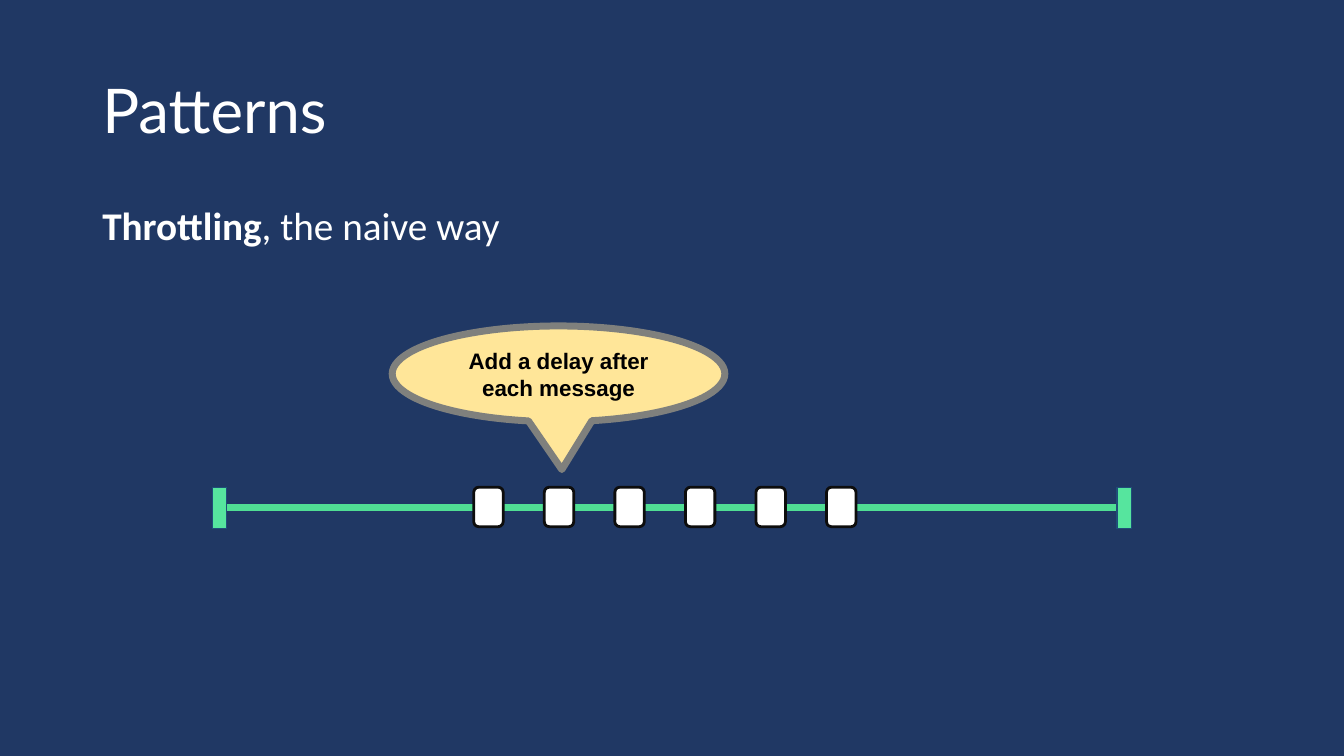
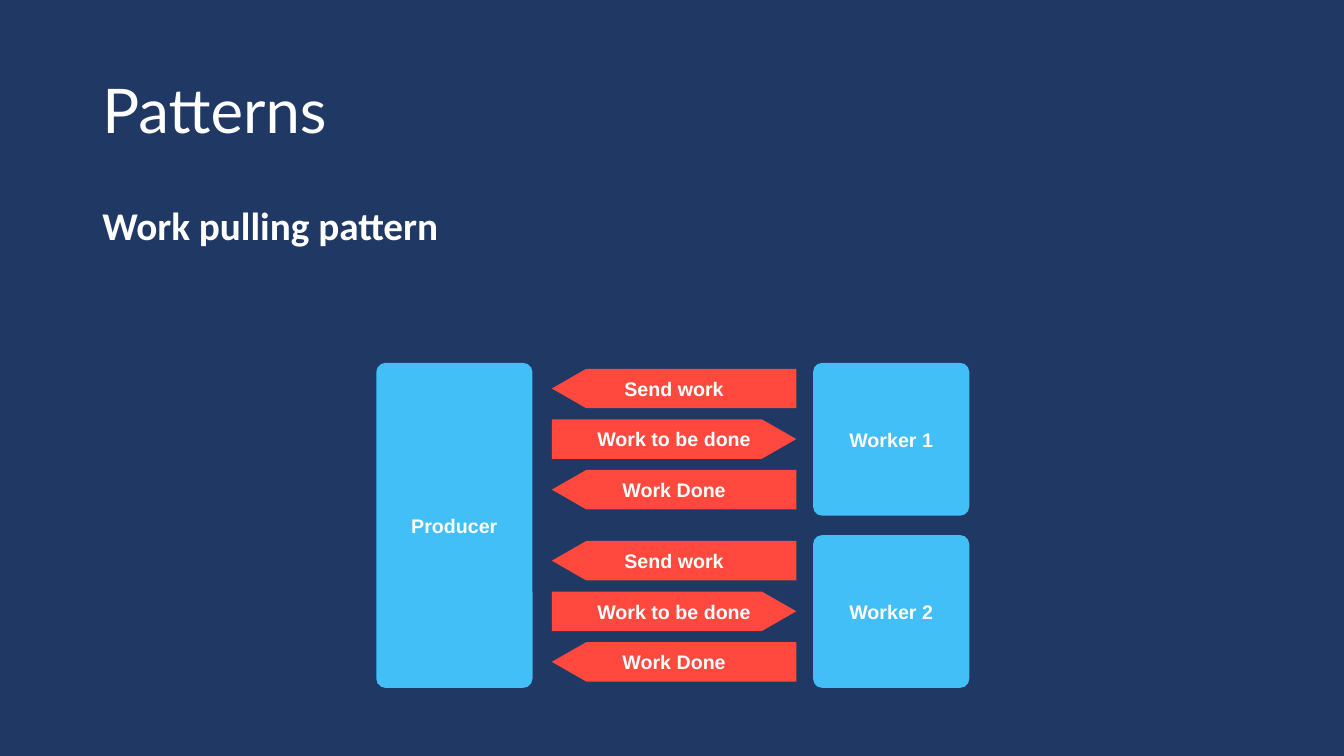
from dataclasses import dataclass

from pptx import Presentation
from pptx.dml.color import RGBColor
from pptx.enum.shapes import MSO_CONNECTOR, MSO_SHAPE
from pptx.enum.text import MSO_ANCHOR, PP_ALIGN
from pptx.oxml.ns import qn
from pptx.util import Inches, Pt
from lxml.etree import SubElement

WIDTH, HEIGHT = Inches(13.33), Inches(7.5)
COLUMNS, ROWS = 160, 90


@dataclass(frozen=True)
class Theme:
    """Hold the colours, fonts and type sizes of the deck."""
    background: str = "203864"
    white: str = "FFFFFF"
    black: str = "000000"
    wire: str = "50DE94"
    post: str = "56E59E"
    post_edge: str = "1F4E79"
    message_edge: str = "0D0D0D"
    callout: str = "FFE699"
    callout_edge: str = "7F807D"
    node: str = "43BFF7"
    arrow: str = "FF493E"
    title_font: str = "Lato"
    body_font: str = "Calibri"
    label_font: str = "Arial"
    title_size: int = 44
    body_size: int = 28
    callout_size: int = 16
    label_size: int = 14


THEME = Theme()
TITLE = {"name": THEME.title_font, "size": Pt(THEME.title_size)}
BODY = {"name": THEME.body_font, "size": Pt(THEME.body_size)}
LABEL = {"name": THEME.label_font, "size": Pt(THEME.label_size), "bold": True}
CALLOUT = LABEL | {"size": Pt(THEME.callout_size)}


def rgb(color):
    """Turn a hex string into a colour."""
    return RGBColor.from_string(color)


def cx(columns):
    """Convert grid columns to a length."""
    return round(WIDTH * columns / COLUMNS)


def cy(rows):
    """Convert grid rows to a length."""
    return round(HEIGHT * rows / ROWS)


def area(x, y, w, h):
    """Convert a grid rectangle to lengths."""
    return cx(x), cy(y), cx(w), cy(h)


def apply(target, values):
    """Set each attribute named in a dict."""
    for name, value in values.items():
        setattr(target, name, value)


def add_run(p, text, style, color=THEME.white):
    """Append one formatted run to a paragraph."""
    r = p.add_run()
    r.text = text
    apply(r.font, style)
    r.font.color.rgb = rgb(color)


def add_text(s, box, runs, anchor):
    """Add a left-aligned text box of formatted runs."""
    tf = s.shapes.add_textbox(*area(*box)).text_frame
    apply(tf, {"word_wrap": True, "vertical_anchor": anchor})
    p = tf.paragraphs[0]
    p.line_spacing = 0.9
    for text, style in runs:
        add_run(p, text, style)


def paint(sp, fill, edge=None, weight=0):
    """Give a shape a flat fill and an optional outline."""
    sp.shadow.inherit = False
    sp.fill.solid()
    sp.fill.fore_color.rgb = rgb(fill)
    if edge:
        sp.line.color.rgb = rgb(edge)
        sp.line.width = Pt(weight)
    else:
        sp.line.fill.background()


def add_label(sp, text, style=LABEL, color=THEME.white):
    """Centre a label in a shape."""
    tf = sp.text_frame
    apply(tf, {"word_wrap": True, "vertical_anchor": MSO_ANCHOR.MIDDLE})
    p = tf.paragraphs[0]
    p.alignment = PP_ALIGN.CENTER
    add_run(p, text, style, color)


def add_box(s, kind, box, fill, edge=None, weight=0, adjust=()):
    """Add a painted preset shape."""
    sp = s.shapes.add_shape(kind, *area(*box))
    for i, value in enumerate(adjust):
        sp.adjustments[i] = value
    paint(sp, fill, edge, weight)
    return sp


def add_wire(s, x1, x2, y):
    """Add a horizontal line without a shadow."""
    line = s.shapes.add_connector(MSO_CONNECTOR.STRAIGHT, cx(x1), cy(y), cx(x2), cy(y))
    line.line.color.rgb = rgb(THEME.wire)
    line.line.width = Pt(5)
    SubElement(line._element.spPr, qn("a:effectLst"))


def add_node(s, box, text):
    """Add a rounded box that names a participant."""
    add_label(add_box(s, MSO_SHAPE.ROUNDED_RECTANGLE, box, THEME.node, adjust=[0.06]), text)


def add_arrow(s, box, text, leftward):
    """Add a labelled pentagon that points left or right."""
    x, y, w, h = box
    tip = 4.1
    tail, neck, point = (x + w, x + tip, x) if leftward else (x, x + w - tip, x + w)
    outline = [(tail, y), (neck, y), (point, y + h / 2), (neck, y + h), (tail, y + h)]
    first, *rest = [(cx(a), cy(b)) for a, b in outline]
    builder = s.shapes.build_freeform(*first, scale=1.0)
    builder.add_line_segments(rest, close=True)
    sp = builder.convert_to_shape()
    paint(sp, THEME.arrow)
    add_label(sp, text)


def add_slide(prs, runs):
    """Add a slide with the shared background, title and a lead line."""
    s = prs.slides.add_slide(prs.slide_layouts[6])
    s.background.fill.solid()
    s.background.fill.fore_color.rgb = rgb(THEME.background)
    add_text(s, (11, 4.8, 138, 17.4), [("Patterns", TITLE)], MSO_ANCHOR.MIDDLE)
    add_text(s, (11, 24, 138, 57), runs, MSO_ANCHOR.TOP)
    return s


def throttling(prs):
    """Draw messages spaced along a channel."""
    s = add_slide(prs, [("Throttling", BODY | {"bold": True}), (", the naive way", BODY)])
    left, right, top = 27, 133, 58
    post = 1.7
    add_wire(s, left, right, 60.4)
    for x in (left - post, right):
        add_box(s, MSO_SHAPE.RECTANGLE, (x, top, post, 4.9), THEME.post, THEME.post_edge, 1)
    for i in range(6):
        add_box(s, MSO_SHAPE.ROUNDED_RECTANGLE, (56.4 + 8.4 * i, top, 3.5, 4.7),
                THEME.white, THEME.message_edge, 2)
    sp = add_box(s, MSO_SHAPE.OVAL_CALLOUT, (46.7, 38.8, 39.6, 11.4),
                 THEME.callout, THEME.callout_edge, 5, [0.01, 1])
    add_label(sp, "Add a delay after each message", CALLOUT, THEME.black)


def work_pulling(prs):
    """Draw a producer that exchanges work with two workers."""
    s = add_slide(prs, [("Work pulling pattern", BODY | {"bold": True})])
    top, node_w, worker_h, pitch = 43.2, 18.6, 18.2, 20.5
    steps = [("Send work", True), ("Work to be done", False), ("Work Done", True)]
    add_node(s, (44.8, top, node_w, pitch + worker_h), "Producer")
    for i, name in enumerate(("Worker 1", "Worker 2")):
        y = top + i * pitch
        add_node(s, (96.8, y, node_w, worker_h), name)
        for j, (text, leftward) in enumerate(steps):
            add_arrow(s, (65.7, y + 0.7 + 6.02 * j, 29.1, 4.7), text, leftward)


def main():
    """Build and save the deck."""
    prs = Presentation()
    apply(prs, {"slide_width": WIDTH, "slide_height": HEIGHT})
    throttling(prs)
    work_pulling(prs)
    prs.save("out.pptx")


if __name__ == "__main__":
    main()
